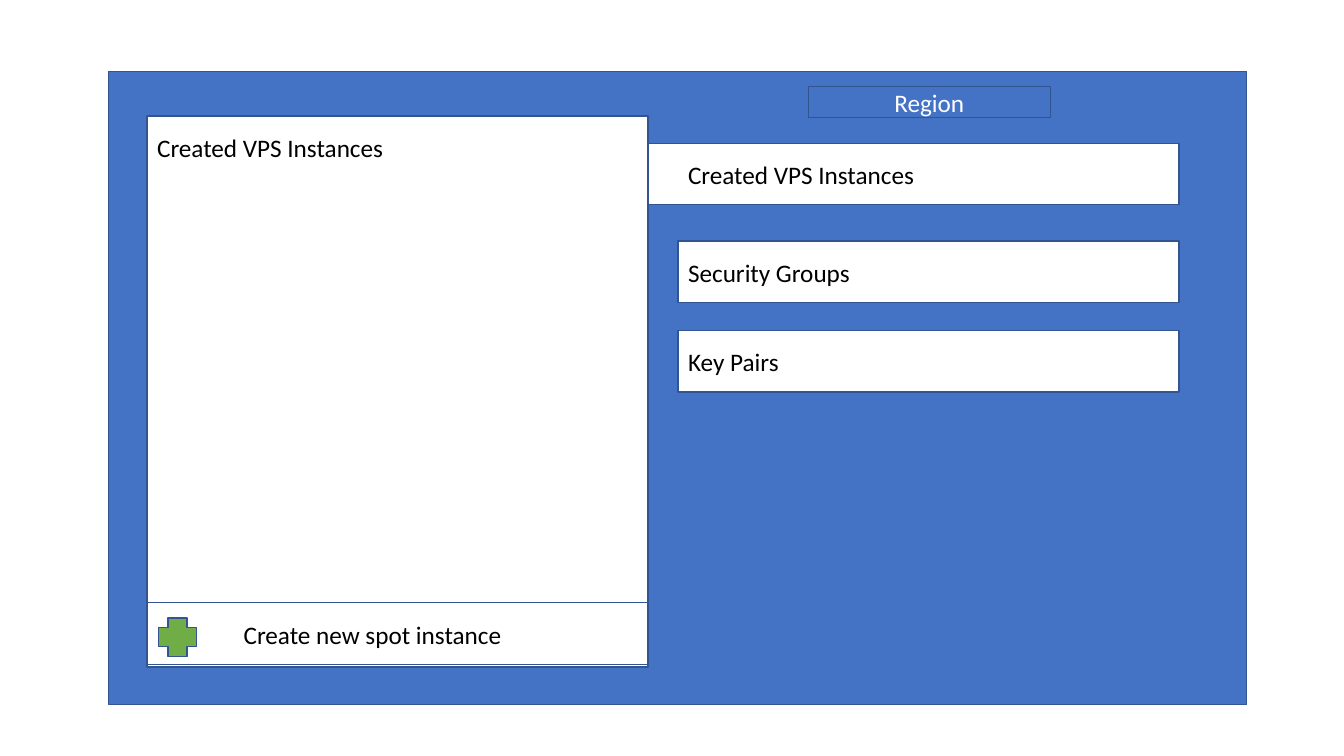
from dataclasses import dataclass

from pptx import Presentation
from pptx.dml.color import RGBColor
from pptx.enum.shapes import MSO_SHAPE as Preset
from pptx.enum.text import MSO_ANCHOR as Anchor, PP_ALIGN as Align
from pptx.util import Cm, Pt


@dataclass(frozen=True)
class Theme:
    blue: RGBColor = RGBColor(0x44, 0x72, 0xC4)
    outline: RGBColor = RGBColor(0x32, 0x54, 0x91)
    green: RGBColor = RGBColor(0x70, 0xAD, 0x47)
    white: RGBColor = RGBColor(0xFF, 0xFF, 0xFF)
    black: RGBColor = RGBColor(0x00, 0x00, 0x00)
    font: str = "Calibri"
    size: Pt = Pt(18)
    line: Pt = Pt(1)


theme = Theme()
deck = Presentation()
deck.slide_width = Cm(33.87)
deck.slide_height = Cm(19.05)
page = deck.slides.add_slide(deck.slide_layouts[6])


def add_panel(left, top, width, height, fill, preset=Preset.RECTANGLE):
    box = page.shapes.add_shape(preset, Cm(left), Cm(top), Cm(width), Cm(height))
    box.shadow.inherit = False
    box.fill.solid()
    box.fill.fore_color.rgb = fill
    box.line.color.rgb = theme.outline
    box.line.width = theme.line
    return box


def add_words(box, words, color):
    para = box.text_frame.paragraphs[0]
    span = para.add_run()
    span.text = words
    span.font.name = theme.font
    span.font.size = theme.size
    span.font.color.rgb = color
    return para


list_left, menu_left = 3.71, 17.09
panel_width, row_height = 12.62, 1.55
groups_top, keys_top, create_top = 6.07, 8.33, 15.19
tab_left, tab_top = 16, 3.61
list_top = 2.92
text_drop = 0.28

add_panel(2.74, 1.8, 28.68, 15.95, theme.blue)
add_panel(tab_left, tab_top, menu_left + panel_width - tab_left, row_height, theme.white)
add_panel(list_left, list_top, panel_width, 13.89, theme.white)
for left, top in [(menu_left, groups_top), (menu_left, keys_top), (list_left, create_top)]:
    add_panel(left, top, panel_width, row_height, theme.white)
add_panel(3.99, 15.57, 0.97, 0.97, theme.green, Preset.CROSS)

labels = [
    ("Created VPS Instances", list_left, list_top),
    ("Created VPS Instances", menu_left, tab_top),
    ("Security Groups", menu_left, groups_top),
    ("Key Pairs", menu_left, keys_top),
    ("Create new spot instance", 5.89, create_top),
]
for words, left, top in labels:
    label = page.shapes.add_textbox(Cm(left), Cm(top + text_drop), Cm(7.44), Cm(1.02))
    label.text_frame.word_wrap = True
    add_words(label, words, theme.black)

region = add_panel(20.37, 2.18, 6.1, 0.79, theme.blue)
region.text_frame.vertical_anchor = Anchor.MIDDLE
add_words(region, "Region", theme.white).alignment = Align.CENTER

deck.save("out.pptx")
